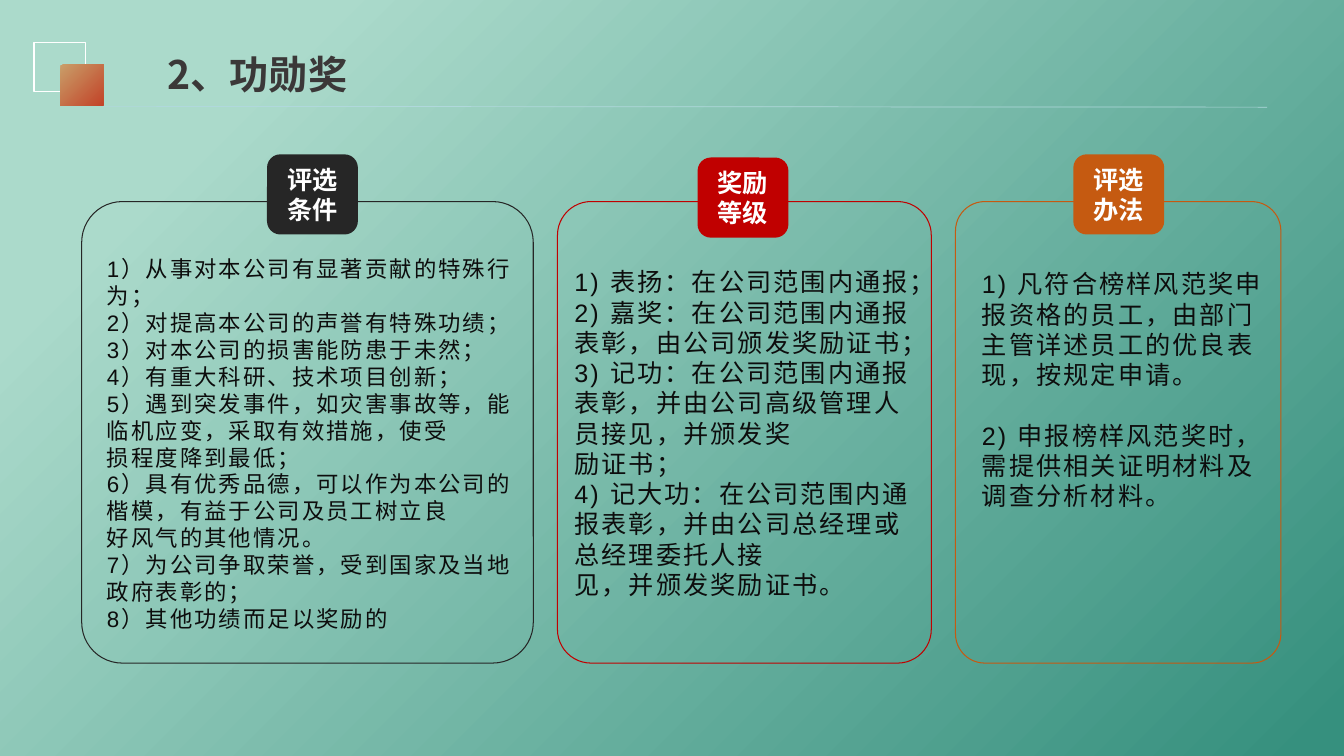
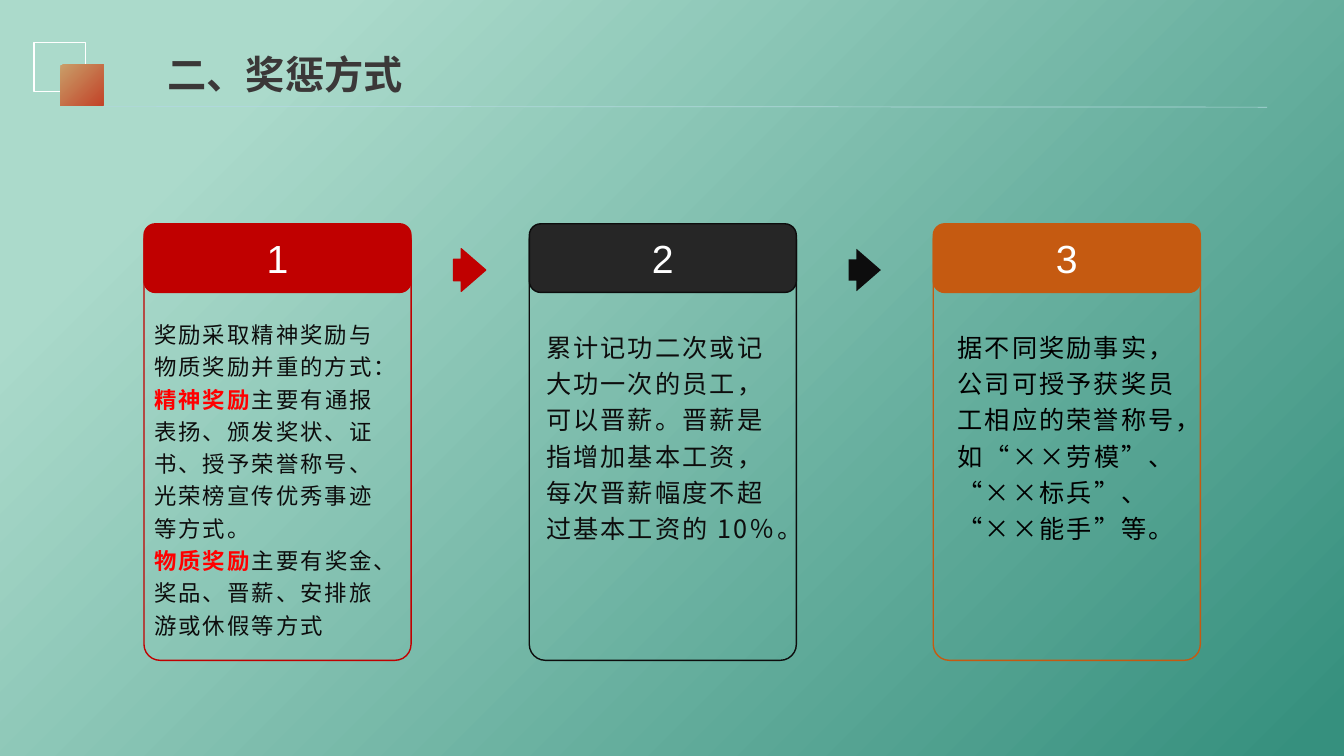
from dataclasses import dataclass

from lxml import etree
from pptx import Presentation
from pptx.dml.color import RGBColor
from pptx.enum import shapes as es, text as et
from pptx.oxml import ns
from pptx.util import Cm, Pt

SANS, ARIAL = "Noto Sans CJK SC", "Arial"
RED, DARK, INK, ORANGE, WHITE = "C00000", "262626", "0D0D0D", "C55A11", "FFFFFF"
MINT, TEAL, SAND, RUST = "ABDACB", "36907E", "C99E69", "C24328"
TITLE, RULE, MARK = "3B3838", "B0D8DC", "FF0000"
ROUND = es.MSO_SHAPE.ROUNDED_RECTANGLE
Run = tuple[str, bool]  # text, marked in bold red


@dataclass
class Box:
    x: float
    y: float
    w: float
    h: float

    def emu(self):
        return [Cm(v) for v in (self.x, self.y, self.w, self.h)]


@dataclass
class Body:
    box: Box
    paras: list[list[Run]]
    size: int = 18
    face: str = ARIAL
    lead: float = 1.2
    gap: float = 0
    ink: str = INK


@dataclass
class Panel:
    """Outlined box with a filled label on its top edge."""
    box: Box
    tab: Box
    label: str
    fill: str
    line: str
    body: Body


def rgb(code: str) -> RGBColor:
    return RGBColor.from_string(code)


def blend(fill, start: str, end: str, low: float, high: float) -> None:
    """Diagonal gradient from top left to bottom right."""
    fill.gradient()
    fill.gradient_angle = 315
    for stop, code, pos in zip(fill.gradient_stops, (start, end), (low, high)):
        stop.color.rgb = rgb(code)
        stop.position = pos


def style(para, size: float, face: str, code: str, bold=False, track=0) -> None:
    font = para.font
    font.size, font.name, font.bold = Pt(size), face, bold
    font.color.rgb = rgb(code)
    props = para._p.pPr.find(ns.qn("a:defRPr"))
    if track:
        props.set("spc", str(track))
    latin = props.find(ns.qn("a:latin"))
    east = etree.Element(ns.qn("a:ea"), typeface=SANS)
    latin.addnext(east)


def shape(slide, kind, box: Box, fill="", line="", width=1.0):
    item = slide.shapes.add_shape(kind, *box.emu())
    item.shadow.inherit = False
    if fill:
        item.fill.solid()
        item.fill.fore_color.rgb = rgb(fill)
    else:
        item.fill.background()
    if line:
        item.line.color.rgb = rgb(line)
        item.line.width = Pt(width)
    else:
        item.line.fill.background()
    return item


def place(holder, box: Box):
    holder.left, holder.top, holder.width, holder.height = box.emu()
    frame = holder.text_frame
    frame.word_wrap = True
    frame.auto_size = et.MSO_AUTO_SIZE.NONE
    frame.vertical_anchor = et.MSO_ANCHOR.TOP
    return frame


def write(holder, body: Body) -> None:
    frame = place(holder, body.box)
    frame.margin_top = Cm(0.19)
    for i, runs in enumerate(body.paras):
        para = frame.add_paragraph() if i else frame.paragraphs[0]
        para.alignment = et.PP_ALIGN.LEFT
        para.line_spacing = Pt(body.size * body.lead)
        para.space_before = Pt(body.gap if i else 0)
        style(para, body.size, body.face, body.ink, track=150)
        props = para._p.pPr
        props.set("marL", "0")
        props.set("indent", "0")
        props.find(ns.qn("a:defRPr")).addprevious(etree.Element(ns.qn("a:buNone")))
        for words, marked in runs:
            run = para.add_run()
            run.text = words
            if marked:
                run.font.bold = True
                run.font.color.rgb = rgb(MARK)


def start(deck, title: str):
    """Add a slide with the shared corner squares, rule and title."""
    slide = deck.slides.add_slide(deck.slide_layouts.get_by_name("Comparison"))
    shape(slide, es.MSO_SHAPE.RECTANGLE, Box(0.86, 1.07, 1.3, 1.24), line=WHITE)
    square = shape(slide, es.MSO_SHAPE.RECTANGLE, Box(1.52, 1.63, 1.09, 1.04))
    blend(square.fill, SAND, RUST, 0, 1)
    rule = slide.shapes.add_connector(
        es.MSO_CONNECTOR.STRAIGHT, Cm(2.6), Cm(2.68), Cm(31.93), Cm(2.7))
    rule.line.color.rgb = rgb(RULE)
    rule.line.width = Pt(0.5)
    etree.SubElement(rule._element.spPr, ns.qn("a:effectLst"))
    frame = place(slide.shapes.title, Box(3.97, 1.15, 12.7, 1.45))
    frame.text = title
    para = frame.paragraphs[0]
    para.alignment = et.PP_ALIGN.LEFT
    style(para, 28, SANS, TITLE, bold=True)
    return slide


def fill_in(slide, panels: list[Panel], curve: float, width: float,
            size: int, face: str, bold: bool) -> None:
    """Draw the panels and put each body in a placeholder."""
    holders = [h for h in slide.placeholders if h.placeholder_format.idx]
    for extra in holders[len(panels):]:
        extra._element.getparent().remove(extra._element)
    for panel, holder in zip(panels, holders):
        frame = shape(slide, ROUND, panel.box, line=panel.line, width=width)
        frame.adjustments[0] = curve
        edge = "" if bold else panel.line
        tab = shape(slide, ROUND, panel.tab, panel.fill, edge, width)
        text = tab.text_frame
        text.word_wrap = True
        text.vertical_anchor = et.MSO_ANCHOR.MIDDLE
        text.text = panel.label
        para = text.paragraphs[0]
        para.alignment = et.PP_ALIGN.CENTER
        para.line_spacing = Pt(size * 1.2)
        style(para, size, face, WHITE, bold)
        write(holder, panel.body)


def plain(*lines: str) -> list[list[Run]]:
    return [[(line, False)] for line in lines]


def merit(deck) -> None:
    terms = Body(Box(2.44, 6.25, 11, 9.83), plain(
        "1）从事对本公司有显著贡献的特殊行为；",
        "2）对提高本公司的声誉有特殊功绩；",
        "3）对本公司的损害能防患于未然；",
        "4）有重大科研、技术项目创新；",
        "5）遇到突发事件，如灾害事故等，能临机应变，采取有效措施，使受",
        "损程度降到最低；",
        "6）具有优秀品德，可以作为本公司的楷模，有益于公司及员工树立良",
        "好风气的其他情况。",
        "7）为公司争取荣誉，受到国家及当地政府表彰的；",
        "8）其他功绩而足以奖励的"), size=16)
    ranks = Body(Box(14.22, 6.53, 9.02, 8.71), plain(
        "1) 表扬：在公司范围内通报；",
        "2) 嘉奖：在公司范围内通报表彰，由公司颁发奖励证书；",
        "3) 记功：在公司范围内通报表彰，并由公司高级管理人员接见，并颁发奖",
        "励证书；",
        "4) 记大功：在公司范围内通报表彰，并由公司总经理或总经理委托人接",
        "见，并颁发奖励证书。"))
    steps = Body(Box(24.49, 6.58, 7.8, 6.4), plain(
        "1) 凡符合榜样风范奖申报资格的员工，由部门主管详述员工的优良表现，按规定申请。",
        "2) 申报榜样风范奖时，需提供相关证明材料及调查分析材料。"), gap=21.6)
    rows = [
        (2.06, 11.38, 6.73, 3.89, "评选条件", DARK, terms),
        (14.05, 9.42, 17.58, 3.97, "奖励等级", RED, ranks),
        (24.08, 8.2, 27.05, 3.89, "评选办法", ORANGE, steps),
    ]
    panels = [Panel(Box(x, 5.08, w, 11.63), Box(tx, ty, 2.29, 2.02), label, code, code, body)
              for x, w, tx, ty, label, code, body in rows]
    fill_in(start(deck, "2、功勋奖"), panels, 0.09, 0.75, 18, SANS, True)


def means(deck) -> None:
    kinds = Body(Box(3.63, 7.77, 6.38, 8.46), [
        [("奖励采取精神奖励与物质奖励并重的方式：", False)],
        [("精神奖励", True),
         ("主要有通报表扬、颁发奖状、证书、授予荣誉称号、光荣榜宣传优秀事迹等方式。", False)],
        [("物质奖励", True), ("主要有奖金、奖品、晋薪、安排旅游或休假等方式", False)],
    ], size=16, lead=1.44)
    raises = Body(Box(13.51, 8.03, 6.55, 5.9), plain(
        "累计记功二次或记大功一次的员工，可以晋薪。晋薪是指增加基本工资，"
        "每次晋薪幅度不超过基本工资的 10％。"), face=SANS, lead=1.44)
    raises.paras = [[(raises.paras[0][0][0], False)]]
    names = Body(Box(23.88, 8.03, 6.38, 5.8), plain(
        "据不同奖励事实，公司可授予获奖员工相应的荣誉称号，"
        "如“××劳模”、“××标兵”、“××能手”等。"), face=SANS, lead=1.44, ink="000000")
    rows = [(3.63, RED, RED, kinds), (13.34, DARK, INK, raises), (23.52, ORANGE, ORANGE, names)]
    panels = [Panel(Box(x, 5.64, 6.73, 11), Box(x, 5.64, 6.73, 1.73), str(i), fill, line, body)
              for i, (x, fill, line, body) in enumerate(rows, 1)]
    slide = start(deck, "二、奖惩方式")
    fill_in(slide, panels, 0.06, 1, 28, ARIAL, False)
    for x, code, line in ((11.43, RED, RED), (21.39, INK, "")):
        arrow = shape(slide, es.MSO_SHAPE.RIGHT_ARROW, Box(x, 6.27, 0.81, 1.07), code, line)
        arrow.adjustments[0], arrow.adjustments[1] = 0.5, 0.76


def main() -> None:
    deck = Presentation()
    deck.slide_width, deck.slide_height = Cm(33.87), Cm(19.05)
    blend(deck.slide_master.background.fill, MINT, TEAL, 0.16, 0.98)
    merit(deck)
    means(deck)
    deck.save("out.pptx")


if __name__ == "__main__":
    main()
